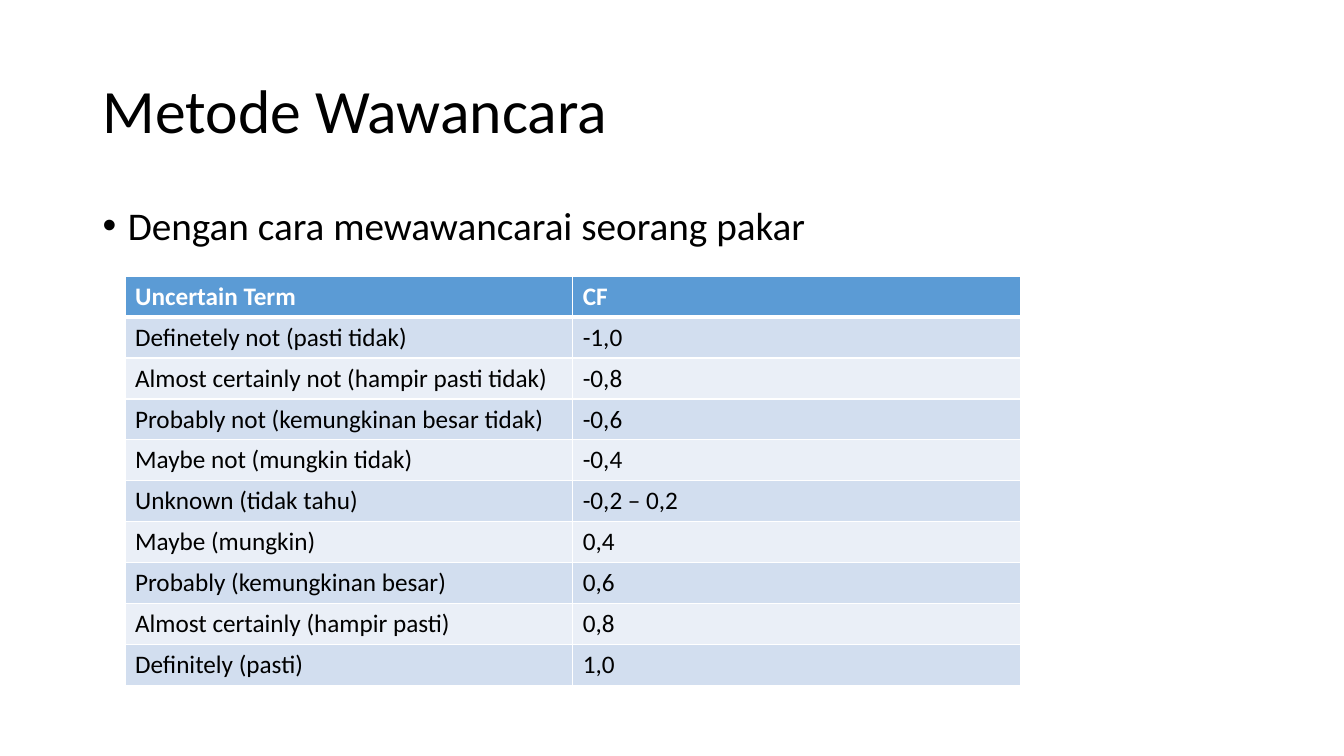
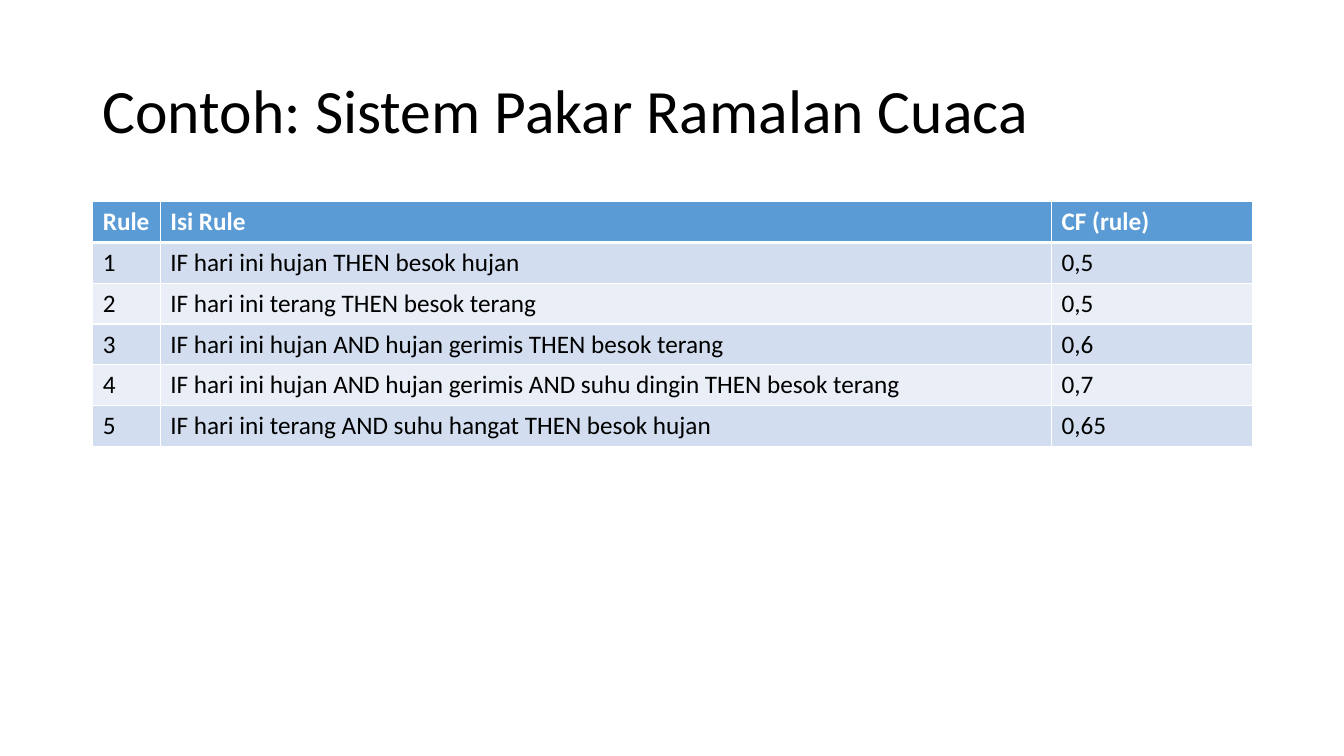
from dataclasses import dataclass

from lxml.etree import SubElement
from pptx import Presentation
from pptx.dml.color import RGBColor
from pptx.enum.text import MSO_ANCHOR
from pptx.oxml.ns import qn
from pptx.slide import Slide
from pptx.table import _Cell
from pptx.text.text import TextFrame
from pptx.util import Inches, Pt

# Shared style
FONT = "Calibri"
BLACK = RGBColor(0x00, 0x00, 0x00)
WHITE = RGBColor(0xFF, 0xFF, 0xFF)
HEADER_BLUE = RGBColor(0x5B, 0x9B, 0xD5)
BAND_DARK = RGBColor(0xD2, 0xDE, 0xEF)
BAND_LIGHT = RGBColor(0xEA, 0xEF, 0xF7)
MARGIN, CONTENT_WIDTH = 0.92, 11.5
THIN, THICK = 1, 3


@dataclass(frozen=True)
class Grid:
    left: float
    top: float
    height: float
    columns: tuple[float, ...]
    rows: tuple[tuple[str, ...], ...]


INTERVIEW_TERMS = Grid(1.24, 2.74, 4.06, (4.44, 4.44), (
    ("Uncertain Term", "CF"),
    ("Definetely not (pasti tidak)", "-1,0"),
    ("Almost certainly not (hampir pasti tidak)", "-0,8"),
    ("Probably not (kemungkinan besar tidak)", "-0,6"),
    ("Maybe not (mungkin tidak)", "-0,4"),
    ("Unknown (tidak tahu)", "-0,2 – 0,2"),
    ("Maybe (mungkin)", "0,4"),
    ("Probably (kemungkinan besar)", "0,6"),
    ("Almost certainly (hampir pasti)", "0,8"),
    ("Definitely (pasti)", "1,0"),
))

WEATHER_RULES = Grid(MARGIN, 2, 2.43, (0.67, 8.84, 1.99), (
    ("Rule", "Isi Rule", "CF (rule)"),
    ("1", "IF hari ini hujan THEN besok hujan", "0,5"),
    ("2", "IF hari ini terang THEN besok terang", "0,5"),
    ("3", "IF hari ini hujan AND hujan gerimis THEN besok terang", "0,6"),
    ("4", "IF hari ini hujan AND hujan gerimis AND suhu dingin THEN besok terang", "0,7"),
    ("5", "IF hari ini terang AND suhu hangat THEN besok hujan", "0,65"),
))


def write(frame: TextFrame, text: str, *, size: float, color: RGBColor = BLACK,
          bold: bool = False, spacing: float = 1.0, bullet: str = "") -> None:
    paragraph = frame.paragraphs[0]
    paragraph.line_spacing = spacing
    if bullet:
        properties = paragraph._p.get_or_add_pPr()
        properties.set("marL", str(Inches(0.25)))
        properties.set("indent", str(Inches(-0.25)))
        SubElement(properties, qn("a:buFont"), typeface="Arial")
        SubElement(properties, qn("a:buChar"), char=bullet)
    run = paragraph.add_run()
    run.text = text
    run.font.name = FONT
    run.font.size = Pt(size)
    run.font.bold = bold
    run.font.color.rgb = color


def add_text_area(slide: Slide, top: float, height: float) -> TextFrame:
    frame = slide.shapes.add_textbox(
        Inches(MARGIN), Inches(top), Inches(CONTENT_WIDTH), Inches(height)).text_frame
    frame.word_wrap = True
    return frame


def add_titled_slide(deck: Presentation, title: str) -> Slide:
    slide = deck.slides.add_slide(deck.slide_layouts[6])
    heading = add_text_area(slide, 0.4, 1.45)
    heading.vertical_anchor = MSO_ANCHOR.MIDDLE
    write(heading, title, size=44, spacing=0.9)
    return slide


def set_borders(cell: _Cell, top: float, bottom: float) -> None:
    properties = cell._tc.get_or_add_tcPr()
    for side, width in (("L", THIN), ("R", THIN), ("T", top), ("B", bottom)):
        line = SubElement(properties, qn(f"a:ln{side}"), w=str(Pt(width)))
        fill = SubElement(line, qn("a:solidFill"))
        SubElement(fill, qn("a:srgbClr"), val=str(WHITE))


def add_grid(slide: Slide, grid: Grid) -> None:
    table = slide.shapes.add_table(
        len(grid.rows), len(grid.columns), Inches(grid.left), Inches(grid.top),
        Inches(sum(grid.columns)), Inches(grid.height)).table
    for column, width in zip(table.columns, grid.columns):
        column.width = Inches(width)
    for row, texts in enumerate(grid.rows):
        is_header = row == 0
        band = HEADER_BLUE if is_header else BAND_DARK if row % 2 else BAND_LIGHT
        for column, text in enumerate(texts):
            cell = table.cell(row, column)
            # The thick rule separates the header from the first body row
            set_borders(cell, top=THICK if row == 1 else THIN,
                        bottom=THICK if is_header else THIN)
            cell.fill.solid()
            cell.fill.fore_color.rgb = band
            write(cell.text_frame, text, size=18, bold=is_header,
                  color=WHITE if is_header else BLACK)


def main() -> None:
    deck = Presentation()
    deck.slide_width, deck.slide_height = Inches(13.33), Inches(7.5)

    # Interview method
    interview = add_titled_slide(deck, "Metode Wawancara")
    write(add_text_area(interview, 2, 4.76), "Dengan cara mewawancarai seorang pakar",
          size=28, spacing=0.9, bullet="•")
    add_grid(interview, INTERVIEW_TERMS)

    # Weather forecast example
    weather = add_titled_slide(deck, "Contoh: Sistem Pakar Ramalan Cuaca")
    add_grid(weather, WEATHER_RULES)

    deck.save("out.pptx")


if __name__ == "__main__":
    main()
